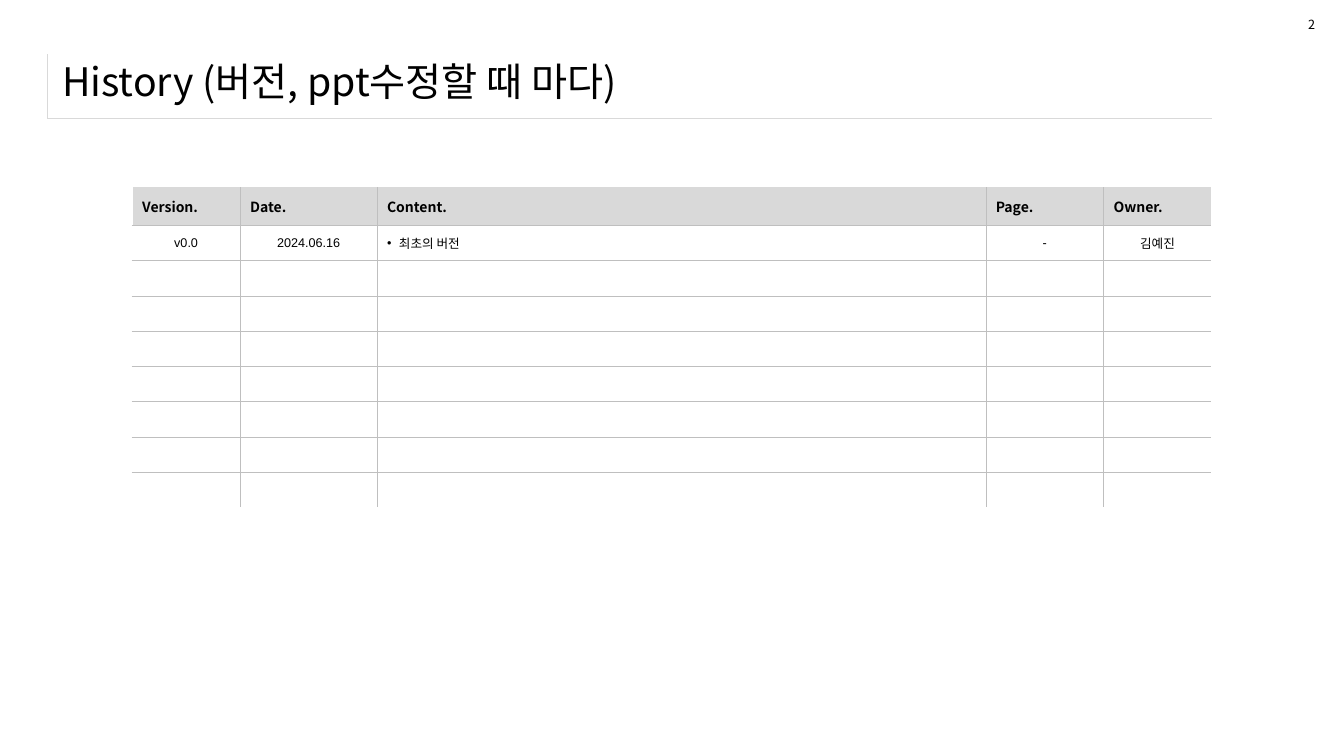
from lxml import etree
from pptx import Presentation
from pptx.dml.color import RGBColor
from pptx.enum.text import MSO_ANCHOR, PP_ALIGN
from pptx.oxml.ns import qn
from pptx.util import Cm, Pt

MIDDLE = MSO_ANCHOR.MIDDLE
LEFT, CENTER = PP_ALIGN.LEFT, PP_ALIGN.CENTER
SANS, ARIAL = "Noto Sans CJK KR", "Arial"
COLORS = {"text": "000000", "head": "D9D9D9", "rule": "D9D9D9",
          "grid": "BFBFBF", "paper": "FFFFFF"}
RULE, GRID, PAPER = ("rule", 0.25), ("grid", 0.25), ("paper", 1)

WIDTHS = [2.72, 3.45, 15.34, 2.97, 2.72]
HEADS = ["Version.", "Date.", "Content.", "Page.", "Owner."]
ENTRY = [("v0.0", ARIAL), ("2024.06.16", ARIAL), ("최초의 버전", SANS),
         ("-", ARIAL), ("김예진", SANS)]
CONTENT = 2
ROWS = 9
HEAD_H, ROW_H = 0.95, 0.89


def set_text(frame, text, size, font=SANS, bold=False, align=LEFT):
    """Write one paragraph and format it for Latin and Korean letters."""
    frame.text = text
    para = frame.paragraphs[0]
    para.alignment = align
    for run in para.runs:
        run.font.size = Pt(size)
        run.font.bold = bold
        run.font.name = font
        run.font.color.rgb = RGBColor.from_string(COLORS["text"])
        props = run._r.get_or_add_rPr()
        etree.SubElement(props, qn("a:ea"), typeface=font)
    if not text:
        etree.SubElement(para._p, qn("a:endParaRPr"), sz=str(size * 100))


def add_bullet(para, indent):
    props = para._p.get_or_add_pPr()
    props.set("marL", str(indent))
    props.set("indent", str(-indent))
    etree.SubElement(props, qn("a:buFont"), typeface=ARIAL)
    etree.SubElement(props, qn("a:buChar"), char="•")


def set_edges(cell, left=None, right=None, top=None, bottom=None):
    """Draw each edge as (colour, points), or leave it bare."""
    props = cell._tc.get_or_add_tcPr()
    for side, edge in zip("LRTB", (left, right, top, bottom)):
        line = etree.SubElement(props, qn("a:ln" + side))
        if edge is None:
            etree.SubElement(line, qn("a:noFill"))
            continue
        color, width = edge
        line.set("w", str(Pt(width)))
        fill = etree.SubElement(line, qn("a:solidFill"))
        etree.SubElement(fill, qn("a:srgbClr"), val=COLORS[color])


def add_grid(slide, box, rows, cols):
    table = slide.shapes.add_table(rows, cols, *map(Cm, box)).table
    table.first_row = False
    table.horz_banding = False
    return table


def add_title(slide, box):
    left, top, width, height = box
    frame = add_grid(slide, box, 1, 1).cell(0, 0)
    set_edges(frame, left=RULE, bottom=RULE)
    frame.fill.background()
    title = slide.shapes.add_textbox(
        Cm(left + 0.13), Cm(top - 0.25), Cm(width + 2.36), Cm(height + 0.25))
    title.text_frame.word_wrap = True
    title.text_frame.vertical_anchor = MIDDLE
    set_text(title.text_frame, "History (버전, ppt수정할 때 마다)", 28)


def fill_cell(cell, row, col):
    if row == 0:
        set_text(cell.text_frame, HEADS[col], 10, bold=True)
    elif row == 1:
        text, font = ENTRY[col]
        align = LEFT if col == CONTENT else CENTER
        set_text(cell.text_frame, text, 9, font, align=align)
        if col == CONTENT:
            add_bullet(cell.text_frame.paragraphs[0], Cm(0.3))
    else:
        set_text(cell.text_frame, "", 9)


def add_history(slide, left, top):
    cols = len(WIDTHS)
    box = (left, top, sum(WIDTHS), HEAD_H + ROW_H * (ROWS - 1))
    table = add_grid(slide, box, ROWS, cols)
    for col, width in enumerate(WIDTHS):
        table.columns[col].width = Cm(width)
    for row in range(ROWS):
        table.rows[row].height = Cm(ROW_H if row else HEAD_H)
        for col in range(cols):
            cell = table.cell(row, col)
            cell.vertical_anchor = MIDDLE
            fill_cell(cell, row, col)
            set_edges(cell,
                      left=GRID if col else PAPER,
                      right=GRID if col < cols - 1 else None,
                      top=GRID if row else None,
                      bottom=GRID if row < ROWS - 1 else PAPER)
            if row:
                cell.fill.background()
            else:
                cell.fill.solid()
                cell.fill.fore_color.rgb = RGBColor.from_string(COLORS["head"])


def add_number(slide, box):
    number = slide.shapes.add_textbox(*map(Cm, box))
    number.text_frame.word_wrap = False
    set_text(number.text_frame, "2", 9)


def main():
    deck = Presentation()
    deck.slide_width, deck.slide_height = Cm(33.87), Cm(19.05)
    slide = deck.slides.add_slide(deck.slide_layouts[6])
    add_title(slide, (1.19, 1.37, 29.36, 1.6))
    add_history(slide, 3.33, 4.72)
    add_number(slide, (32.72, 0.3, 0.69, 0.64))
    deck.save("out.pptx")


if __name__ == "__main__":
    main()
